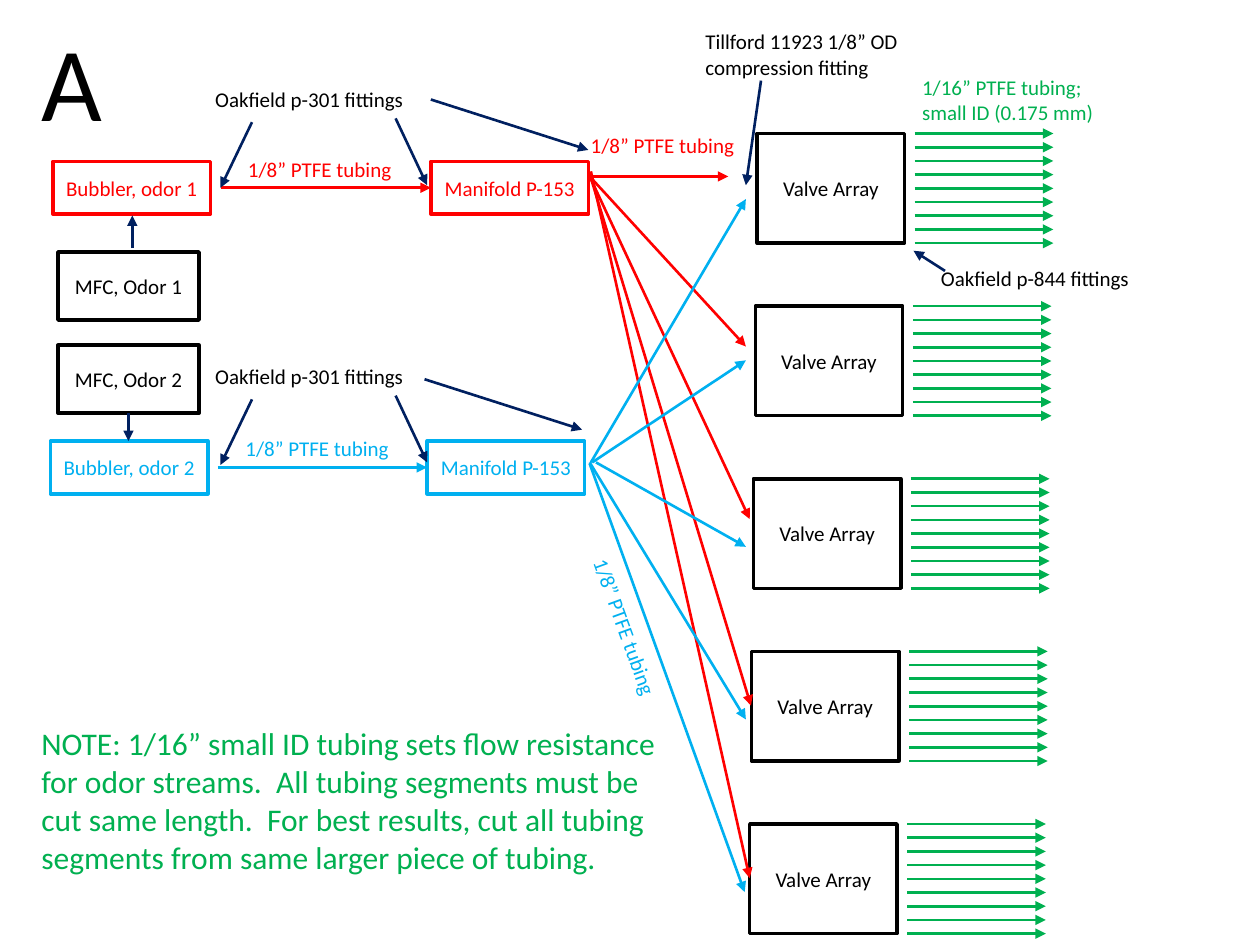
from dataclasses import dataclass

from lxml.etree import SubElement
from pptx import Presentation
from pptx.dml.color import RGBColor
from pptx.enum.shapes import MSO_CONNECTOR, MSO_SHAPE
from pptx.enum.text import MSO_ANCHOR, MSO_AUTO_SIZE, PP_ALIGN
from pptx.oxml.ns import qn
from pptx.util import Inches, Pt

BLACK = RGBColor(0x00, 0x00, 0x00)
WHITE = RGBColor(0xFF, 0xFF, 0xFF)
RED = RGBColor(0xFF, 0x00, 0x00)
BLUE = RGBColor(0x00, 0xB0, 0xF0)
GREEN = RGBColor(0x00, 0xB0, 0x50)
NAVY = RGBColor(0x00, 0x20, 0x60)

TUBING = "1/8” PTFE tubing"
FITTINGS = "Oakfield p-301 fittings"
VALVE_COUNT = 5
OUTLET_COUNT = 9


@dataclass
class Box:
    text: str
    left: float
    top: float
    width: float
    height: float
    color: RGBColor


@dataclass
class Label(Box):
    size: int = 12
    align: PP_ALIGN = PP_ALIGN.LEFT
    rotation: float = 0


@dataclass
class Arrow:
    start: tuple[float, float]
    end: tuple[float, float]
    color: RGBColor = NAVY


BOXES = [
    Box("Bubbler, odor 1", 0.42, 1.28, 1.25, 0.42, RED),
    Box("Manifold P-153", 3.42, 1.28, 1.25, 0.42, RED),
    Box("Bubbler, odor 2", 0.40, 3.50, 1.25, 0.42, BLUE),
    Box("Manifold P-153", 3.39, 3.50, 1.25, 0.42, BLUE),
    Box("MFC, Odor 1", 0.46, 2.00, 1.12, 0.54, BLACK),
    Box("MFC, Odor 2", 0.46, 2.74, 1.12, 0.54, BLACK),
]
LABELS = [
    Label(TUBING, 1.87, 1.19, 1.43, 0.3, RED),
    Label(FITTINGS, 1.61, 0.64, 1.8, 0.3, BLACK),
    Label(TUBING, 1.85, 3.41, 1.43, 0.3, BLUE),
    Label(FITTINGS, 1.61, 2.84, 1.8, 0.3, BLACK),
    Label(TUBING, 4.59, 1, 1.43, 0.3, RED),
    Label("Tillford 11923 1/8” OD\ncompression fitting", 5.5, 0.18, 1.87, 0.5, BLACK),
    Label("1/16” PTFE tubing;\nsmall ID (0.175 mm)", 7.22, 0.54, 1.6, 0.5, GREEN),
    Label("Oakfield p-844 fittings", 7.37, 2.06, 1.8, 0.3, BLACK),
    Label(
        "NOTE: 1/16” small ID tubing sets flow resistance for odor streams.  "
        "All tubing segments must be cut same length.  For best results, "
        "cut all tubing segments from same larger piece of tubing.",
        0.23, 5.7, 5.1, 1.31, GREEN, size=18,
    ),
]
SLANTED_LABEL = Label(TUBING, 4.23, 4.78, 1.43, 0.3, BLUE, align=PP_ALIGN.RIGHT, rotation=70)
ARROWS = [
    Arrow((1.75, 1.49), (3.42, 1.49), RED),
    Arrow((4.67, 1.4), (5.78, 1.4), RED),
    Arrow((1.73, 3.71), (3.39, 3.71), BLUE),
    Arrow((2, 0.97), (1.75, 1.49)),
    Arrow((3.14, 0.94), (3.39, 1.47)),
    Arrow((3.42, 0.79), (4.67, 1.19)),
    Arrow((2, 3.17), (1.75, 3.69)),
    Arrow((3.14, 3.14), (3.39, 3.67)),
    Arrow((3.37, 3.01), (4.62, 3.41)),
    Arrow((6.04, 0.64), (5.92, 1.47)),
    Arrow((7.5, 2.15), (7.25, 1.99)),
    Arrow((1.02, 3.28), (1.02, 3.5)),
    Arrow((1.05, 1.97), (1.05, 1.71)),
]
RED_FAN = [
    Arrow((4.68, 1.4), (5.92, 2.75), RED),
    Arrow((4.68, 1.4), (5.95, 4.12), RED),
    Arrow((4.68, 1.38), (5.96, 5.6), RED),
    Arrow((4.69, 1.36), (5.95, 6.97), RED),
]
BLUE_FAN = [
    Arrow((4.69, 3.67), (5.92, 1.58), BLUE),
    Arrow((4.7, 3.67), (5.92, 2.86), BLUE),
    Arrow((4.73, 3.67), (5.92, 4.34), BLUE),
    Arrow((4.68, 3.67), (5.92, 5.71), BLUE),
    Arrow((4.68, 3.68), (5.91, 7.08), BLUE),
]


def write_text(text_frame, text: str, size: int, color: RGBColor, align: PP_ALIGN) -> None:
    """Fill a text frame with evenly formatted paragraphs."""
    text_frame.word_wrap = True
    text_frame.text = text
    for paragraph in text_frame.paragraphs:
        paragraph.alignment = align
        paragraph.font.name = "Calibri"
        paragraph.font.size = Pt(size)
        paragraph.font.color.rgb = color


def draw_box(shapes, box: Box) -> None:
    """Draw an outlined white box with centred text."""
    shape = shapes.add_shape(
        MSO_SHAPE.RECTANGLE,
        Inches(box.left), Inches(box.top), Inches(box.width), Inches(box.height),
    )
    shape.shadow.inherit = False
    shape.fill.solid()
    shape.fill.fore_color.rgb = WHITE
    shape.line.color.rgb = box.color
    shape.line.width = Pt(2)
    shape.text_frame.vertical_anchor = MSO_ANCHOR.MIDDLE
    write_text(shape.text_frame, box.text, 12, box.color, PP_ALIGN.CENTER)


def draw_label(shapes, label: Label) -> None:
    """Draw a text box, with a white fill when it is rotated."""
    text_box = shapes.add_textbox(
        Inches(label.left), Inches(label.top), Inches(label.width), Inches(label.height)
    )
    write_text(text_box.text_frame, label.text, label.size, label.color, label.align)
    if label.rotation:
        text_box.rotation = label.rotation
        text_box.fill.solid()
        text_box.fill.fore_color.rgb = WHITE


def draw_arrow(shapes, arrow: Arrow) -> None:
    """Draw a straight connector with a triangular head at its end."""
    connector = shapes.add_connector(
        MSO_CONNECTOR.STRAIGHT, *(Inches(value) for value in arrow.start + arrow.end)
    )
    connector.line.color.rgb = arrow.color
    connector.line.width = Pt(1.5)
    SubElement(connector.line._get_or_add_ln(), qn("a:tailEnd"), type="triangle")
    SubElement(connector._element.spPr, qn("a:effectLst"))


def draw_valve_array(shapes, index: int) -> None:
    """Draw one grouped valve box with its row of outlet tubes."""
    left, top, height = 6.01 - 0.015 * index, 1.06 + 1.37 * index, 0.87
    group = shapes.add_group_shape()
    draw_box(group.shapes, Box("Valve Array", left, top, 1.17, height, BLACK))
    for outlet in range(OUTLET_COUNT):
        y = top + height * outlet / (OUTLET_COUNT - 1)
        draw_arrow(group.shapes, Arrow((left + 1.25, y), (left + 2.35, y), GREEN))


def main() -> None:
    """Build the tubing diagram and save it."""
    presentation = Presentation()
    presentation.slide_width, presentation.slide_height = Inches(10), Inches(7.5)
    slide = presentation.slides.add_slide(presentation.slide_layouts[5])
    shapes = slide.shapes

    title = shapes.title
    title.left, title.top = Inches(0.23), Inches(0.08)
    title.width, title.height = Inches(0.69), Inches(1.11)
    title.text_frame.auto_size = MSO_AUTO_SIZE.NONE
    title.text_frame.vertical_anchor = MSO_ANCHOR.TOP
    write_text(title.text_frame, "A", 60, BLACK, PP_ALIGN.LEFT)

    for box in BOXES:
        draw_box(shapes, box)
    for label in LABELS:
        draw_label(shapes, label)
    for index in range(VALVE_COUNT):
        draw_valve_array(shapes, index)
    for arrow in ARROWS + RED_FAN:
        draw_arrow(shapes, arrow)
    draw_label(shapes, SLANTED_LABEL)
    for arrow in BLUE_FAN:
        draw_arrow(shapes, arrow)

    presentation.save("out.pptx")


main()
